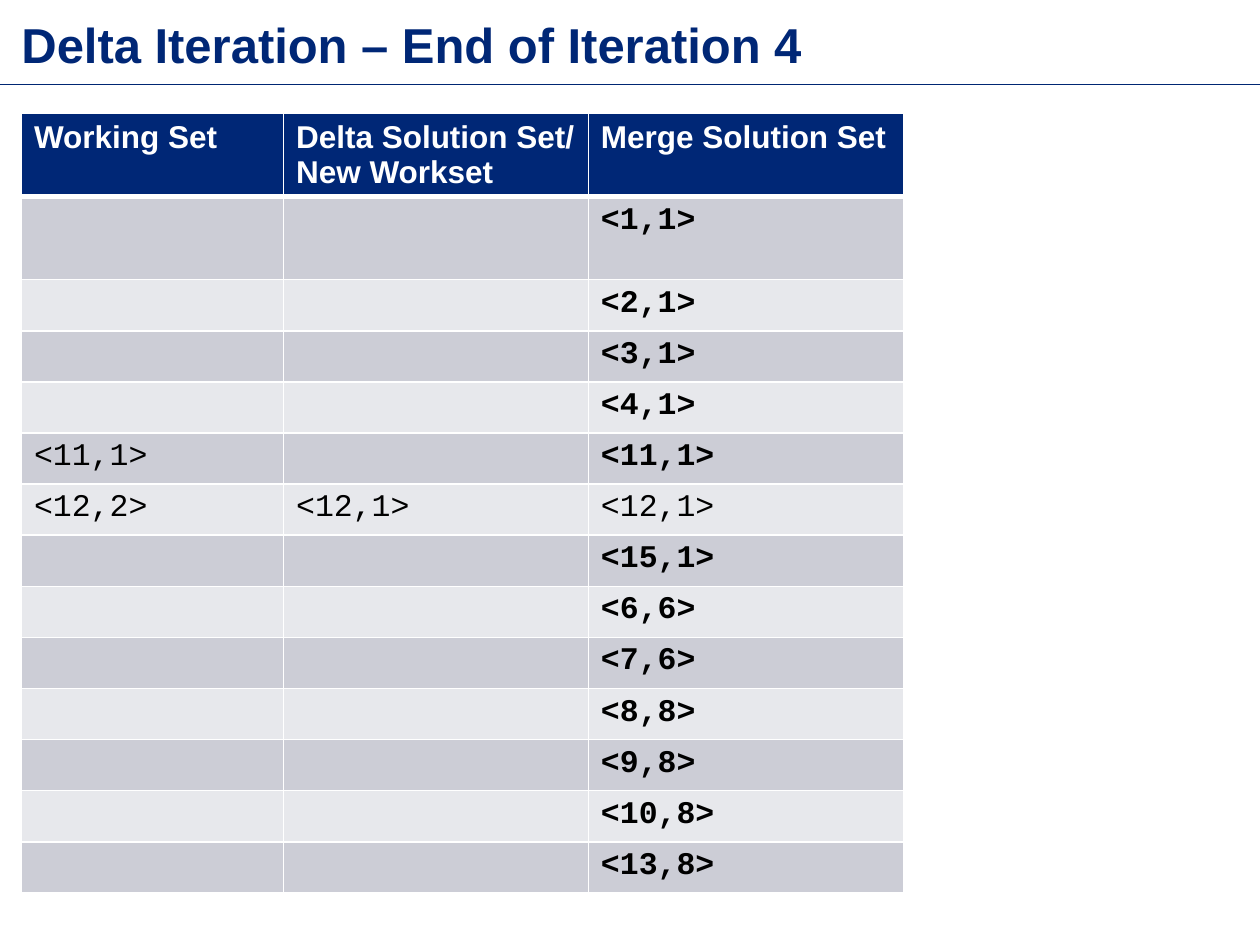
from lxml import etree
from pptx import Presentation
from pptx.dml.color import RGBColor
from pptx.enum.shapes import MSO_CONNECTOR
from pptx.enum.text import MSO_ANCHOR, PP_ALIGN
from pptx.oxml.ns import qn
from pptx.util import Inches, Pt

STRAIGHT = MSO_CONNECTOR.STRAIGHT
TOP = MSO_ANCHOR.TOP
LEFT = PP_ALIGN.LEFT
COLOURS = {
    "navy": "002776",
    "rule": "002673",
    "white": "FFFFFF",
    "black": "000000",
    "dark band": "CCCDD6",
    "light band": "E7E8EC",
}
MARGIN = 0.17
COLUMNS = [2.08, 2.42, 2.5]
TALL_ROW = 0.66
BODY_ROW = 4.87 / 12
HEADERS = ["Working Set", "Delta Solution Set/ New Workset", "Merge Solution Set"]
SOLUTION = ["<1,1>", "<2,1>", "<3,1>", "<4,1>", "<11,1>", "<12,1>", "<15,1>",
            "<6,6>", "<7,6>", "<8,8>", "<9,8>", "<10,8>", "<13,8>"]
WORKING = {"<11,1>": "<11,1>", "<12,1>": "<12,2>"}
DELTA = {"<12,1>": "<12,1>"}


def write(frame, text, size=18, font="Courier New", colour="black", bold=False):
    para = frame.paragraphs[0]
    para.alignment = LEFT
    span = para.add_run()
    span.text = text
    span.font.size = Pt(size)
    span.font.name = font
    span.font.bold = bold
    span.font.color.rgb = RGBColor.from_string(COLOURS[colour])
    return para


def style_cell(cell, fill, top, bottom):
    """Give a cell white borders, with top and bottom widths in points, and a fill."""
    properties = cell._tc.get_or_add_tcPr()
    for side, width in (("L", 1), ("R", 1), ("T", top), ("B", bottom)):
        line = etree.SubElement(properties, qn(f"a:ln{side}"), w=str(Pt(width)))
        solid = etree.SubElement(line, qn("a:solidFill"))
        etree.SubElement(solid, qn("a:srgbClr"), val=COLOURS["white"])
    cell.fill.solid()
    cell.fill.fore_color.rgb = RGBColor.from_string(COLOURS[fill])


deck = Presentation()
deck.slide_width, deck.slide_height = Inches(10), Inches(7.5)
page = deck.slides.add_slide(deck.slide_layouts[5])

title = page.shapes.title
title.left, title.top = Inches(MARGIN), Inches(MARGIN)
title.width, title.height = Inches(9.11), Inches(0.29)
frame = title.text_frame
frame.margin_left = frame.margin_right = frame.margin_top = frame.margin_bottom = 0
frame.vertical_anchor = TOP
frame.word_wrap = True
heading = write(frame, "Delta Iteration – End of Iteration 4",
                size=28, font="Arial", colour="navy", bold=True)
heading.line_spacing = 0.9

rule = page.shapes.add_connector(STRAIGHT, 0, Inches(0.67), deck.slide_width, Inches(0.67))
rule.line.color.rgb = RGBColor.from_string(COLOURS["rule"])
rule.line.width = Pt(0.75)
etree.SubElement(rule._element.spPr, qn("a:effectLst"))

row_heights = [TALL_ROW] * 2 + [BODY_ROW] * (len(SOLUTION) - 1)
table = page.shapes.add_table(
    len(row_heights), len(COLUMNS), Inches(MARGIN), Inches(0.9),
    Inches(sum(COLUMNS)), Inches(sum(row_heights))).table
for column, width in zip(table.columns, COLUMNS):
    column.width = Inches(width)
for row, height in zip(table.rows, row_heights):
    row.height = Inches(height)

for column, text in enumerate(HEADERS):
    cell = table.cell(0, column)
    style_cell(cell, "navy", top=1, bottom=3)
    write(cell.text_frame, text, font="Arial", colour="white", bold=True)

for row, merged in enumerate(SOLUTION, start=1):
    band = "dark band" if row % 2 else "light band"
    values = [WORKING.get(merged), DELTA.get(merged), merged]
    for column, text in enumerate(values):
        cell = table.cell(row, column)
        style_cell(cell, band, top=3 if row == 1 else 1, bottom=1)
        if text:
            unchanged = column == 2 and merged not in DELTA
            write(cell.text_frame, text, bold=unchanged)

deck.save("out.pptx")
